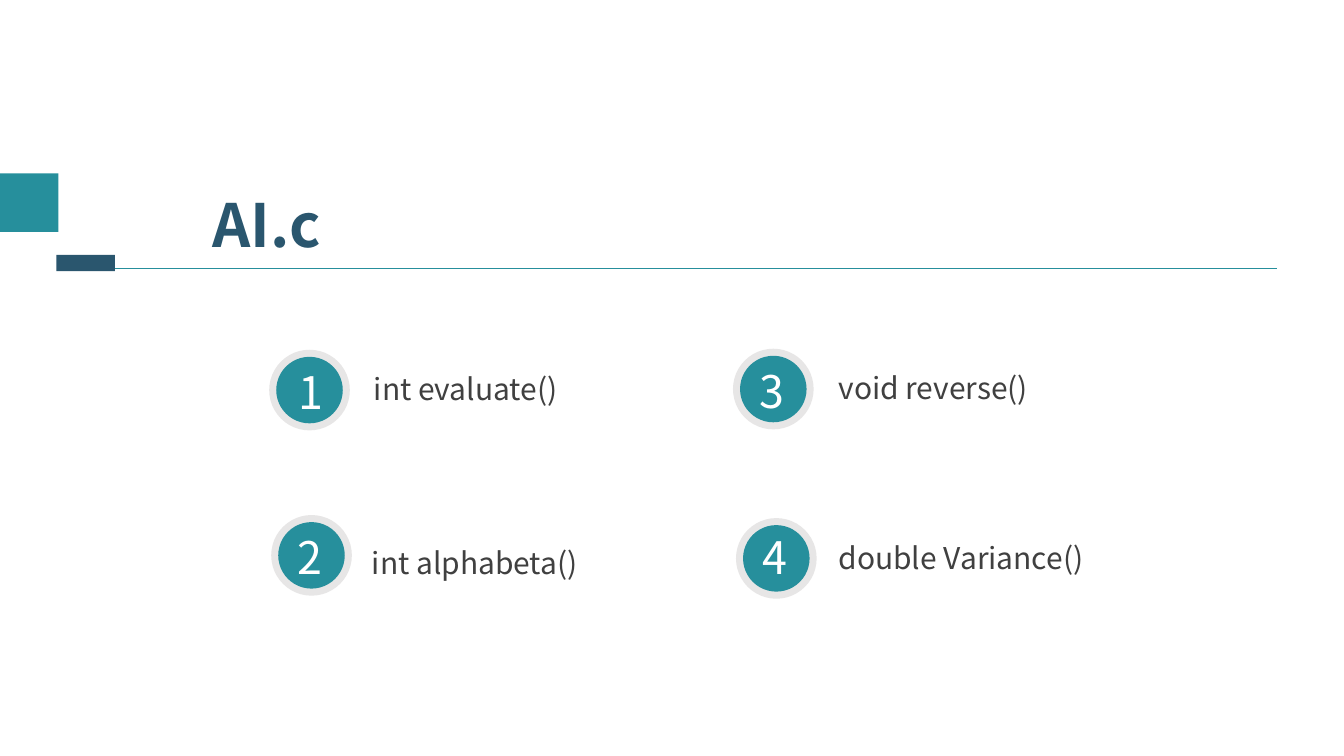
"""Build the AI.c slide listing its four numbered functions."""
from lxml import etree
from pptx import Presentation
from pptx.dml.color import RGBColor
from pptx.enum import shapes, text
from pptx.oxml import ns
from pptx.util import Inches, Pt

TEAL = RGBColor(0x26, 0x8F, 0x9C)
NAVY = RGBColor(0x2A, 0x56, 0x6E)
PALE = RGBColor(0xE7, 0xE6, 0xE6)
GREY = RGBColor(0x40, 0x40, 0x40)
WHITE = RGBColor(0xFF, 0xFF, 0xFF)
FONT = "Noto Sans CJK SC"

TITLE = "AI.c"
RING, DISC = 0.8, 0.66
FUNCTIONS = [
    {"name": "int evaluate()", "ring": (2.67, 3.47), "digit": (2.86, 3.57),
     "label": (3.61, 3.63, 4.96, 0.46)},
    {"name": "int alphabeta()", "ring": (2.69, 5.11), "digit": (2.85, 5.21),
     "label": (3.59, 5.35, 4.96, 1.18)},
    {"name": "void reverse()", "ring": (7.27, 3.46), "digit": (7.43, 3.56),
     "label": (8.22, 3.62, 3.2, 0.46)},
    {"name": "double Variance()", "ring": (7.3, 5.14), "digit": (7.46, 5.21),
     "label": (8.22, 5.3, 3.2, 0.46)},
]


def add_block(slide, kind, left, top, width, height, color):
    block = slide.shapes.add_shape(
        kind, Inches(left), Inches(top), Inches(width), Inches(height))
    block.shadow.inherit = False
    block.fill.solid()
    block.fill.fore_color.rgb = color
    block.line.fill.background()


def add_text(slide, words, left, top, width, height, size, color, bold=False):
    box = slide.shapes.add_textbox(
        Inches(left), Inches(top), Inches(width), Inches(height))
    frame = box.text_frame
    frame.word_wrap = True
    frame.auto_size = text.MSO_AUTO_SIZE.SHAPE_TO_FIT_TEXT
    para = frame.paragraphs[0]
    para.text = words
    para.font.name = FONT
    para.font.size = Pt(size)
    para.font.bold = bold
    para.font.color.rgb = color


def add_rule(slide):
    rule = slide.shapes.add_connector(
        shapes.MSO_CONNECTOR.STRAIGHT,
        Inches(0.59), Inches(2.66), Inches(12.67), Inches(2.66))
    rule.line.color.rgb = TEAL
    rule.line.width = Pt(0.75)
    etree.SubElement(rule._element.spPr, ns.qn("a:effectLst"))


def add_function(slide, number, function):
    left, top = function["ring"]
    inset = (RING - DISC) / 2
    oval = shapes.MSO_SHAPE.OVAL
    add_block(slide, oval, left, top, RING, RING, PALE)
    add_block(slide, oval, left + inset, top + inset, DISC, DISC, TEAL)
    add_text(slide, str(number), *function["digit"], 0.48, 0.64, 32, WHITE)
    add_text(slide, function["name"], *function["label"], 21.4, GREY)


def main():
    deck = Presentation()
    deck.slide_width, deck.slide_height = Inches(13.33), Inches(7.5)
    slide = deck.slides.add_slide(deck.slide_layouts[6])
    add_rule(slide)
    add_text(slide, TITLE, 2.01, 1.81, 1.71, 0.82, 42.6, NAVY, bold=True)
    add_block(slide, shapes.MSO_SHAPE.RECTANGLE, 0, 1.72, 0.58, 0.58, TEAL)
    for number, function in enumerate(FUNCTIONS, 1):
        add_function(slide, number, function)
    add_block(slide, shapes.MSO_SHAPE.RECTANGLE, 0.56, 2.53, 0.58, 0.16, NAVY)
    deck.save("out.pptx")


if __name__ == "__main__":
    main()
